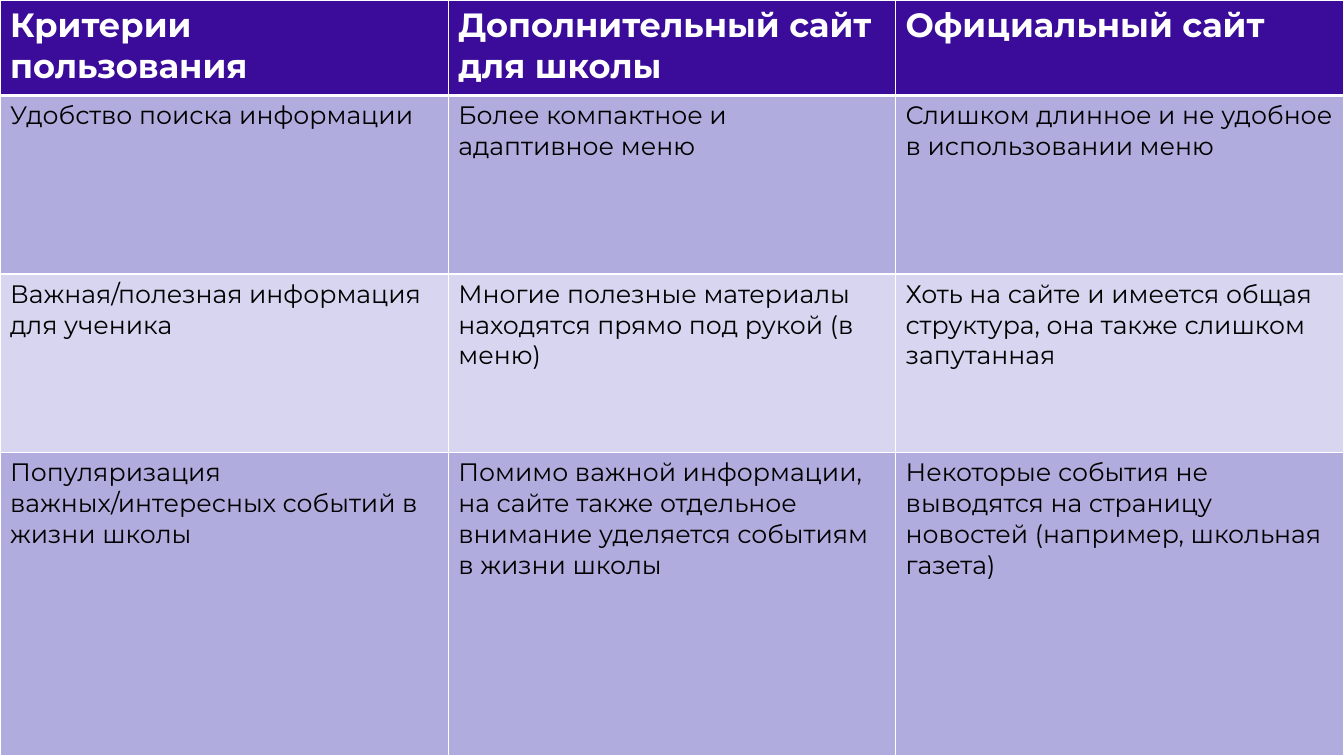
"""Build a slide with a table comparing two school websites."""
from dataclasses import dataclass

from lxml import etree
from pptx import Presentation
from pptx.dml.color import RGBColor
from pptx.oxml.ns import qn
from pptx.util import Emu, Pt

EMU_PER_PX = 9525
PAGE_WIDTH, PAGE_HEIGHT = 1280, 720
COLUMN_WIDTHS = (427, 426, 427)
FONT = "Montserrat"
COLORS = {
    "header": "3A0C99",
    "dark_band": "B0ACDE",
    "light_band": "D7D5EF",
    "white": "FFFFFF",
    "black": "000000",
}


@dataclass(frozen=True)
class RowStyle:
    fill: str
    ink: str
    size: int
    bold: bool = False


@dataclass(frozen=True)
class TableRow:
    height: int
    style: RowStyle
    texts: tuple[str, str, str]
    top_border: int = 1
    bottom_border: int = 1


HEADER = RowStyle("header", "white", 24, True)
DARK = RowStyle("dark_band", "black", 18)
LIGHT = RowStyle("light_band", "black", 18)

ROWS = (
    TableRow(91, HEADER, (
        "Критерии пользования",
        "Дополнительный сайт для школы",
        "Официальный сайт",
    ), bottom_border=3),
    TableRow(170, DARK, (
        "Удобство поиска информации",
        "Более компактное и адаптивное меню",
        "Слишком длинное и не удобное в использовании меню",
    ), top_border=3),
    TableRow(170, LIGHT, (
        "Важная/полезная информация для ученика",
        "Многие полезные материалы находятся прямо под рукой (в меню)",
        "Хоть на сайте и имеется общая структура, она также слишком запутанная",
    )),
    TableRow(289, DARK, (
        "Популяризация важных/интересных событий в жизни школы",
        "Помимо важной информации, на сайте также отдельное внимание "
        "уделяется событиям в жизни школы",
        "Некоторые события не выводятся на страницу новостей "
        "(например, школьная газета)",
    )),
)


def px(length: int) -> Emu:
    return Emu(length * EMU_PER_PX)


def rgb(name: str) -> RGBColor:
    return RGBColor.from_string(COLORS[name])


def set_borders(cell, row: TableRow) -> None:
    properties = cell._tc.get_or_add_tcPr()
    widths = {"lnL": 1, "lnR": 1, "lnT": row.top_border, "lnB": row.bottom_border}
    for index, (tag, width) in enumerate(widths.items()):
        line = etree.Element(qn(f"a:{tag}"), w=str(Pt(width)))
        fill = etree.SubElement(line, qn("a:solidFill"))
        etree.SubElement(fill, qn("a:srgbClr"), val=COLORS["white"])
        properties.insert(index, line)


def fill_cell(cell, text: str, row: TableRow) -> None:
    style = row.style
    cell.fill.solid()
    cell.fill.fore_color.rgb = rgb(style.fill)
    set_borders(cell, row)
    cell.text_frame.text = text
    font = cell.text_frame.paragraphs[0].runs[0].font
    font.name = FONT
    font.size = Pt(style.size)
    font.bold = style.bold
    font.color.rgb = rgb(style.ink)


def add_comparison(page) -> None:
    frame = page.shapes.add_table(
        len(ROWS), len(COLUMN_WIDTHS), 0, 0, px(PAGE_WIDTH), px(PAGE_HEIGHT)
    )
    table = frame.table
    for column, width in zip(table.columns, COLUMN_WIDTHS):
        column.width = px(width)
    for table_row, row in zip(table.rows, ROWS):
        table_row.height = px(row.height)
        for cell, text in zip(table_row.cells, row.texts):
            fill_cell(cell, text, row)


def main() -> None:
    deck = Presentation()
    deck.slide_width, deck.slide_height = px(PAGE_WIDTH), px(PAGE_HEIGHT)
    page = deck.slides.add_slide(deck.slide_layouts[6])
    add_comparison(page)
    deck.save("out.pptx")


if __name__ == "__main__":
    main()
